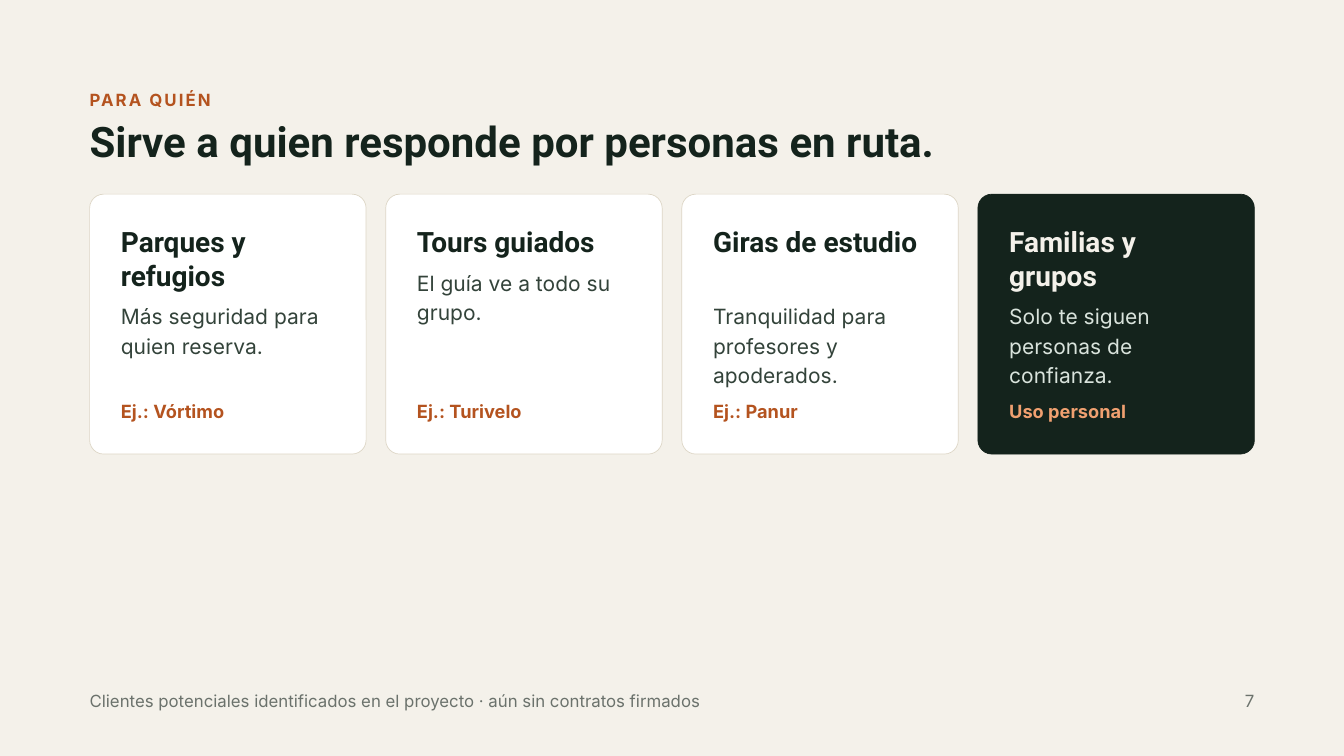
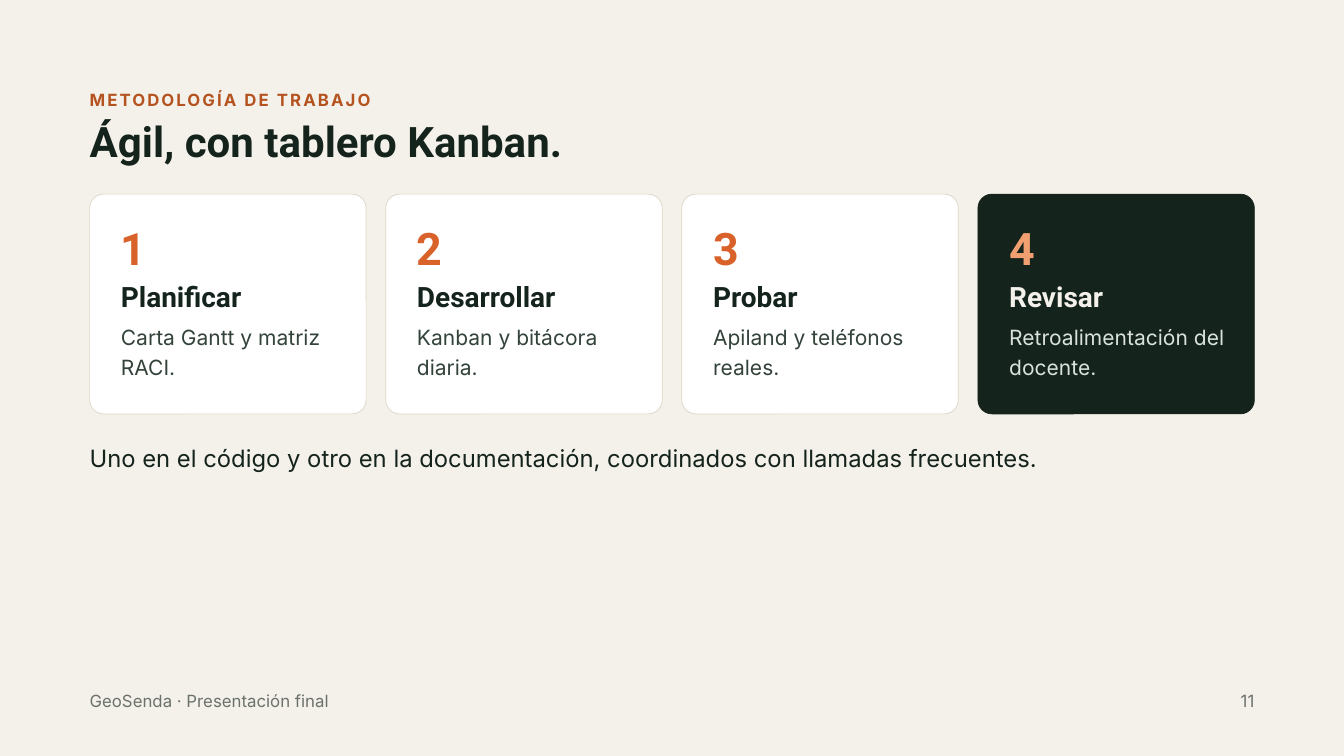
from dataclasses import dataclass

from pptx import Presentation
from pptx.dml.color import RGBColor
from pptx.enum.shapes import MSO_SHAPE
from pptx.enum.text import MSO_ANCHOR, MSO_AUTO_SIZE, PP_ALIGN
from pptx.util import Pt

ROUNDED = MSO_SHAPE.ROUNDED_RECTANGLE
TOP = MSO_ANCHOR.TOP
NO_AUTOFIT = MSO_AUTO_SIZE.NONE
LEFT, RIGHT = PP_ALIGN.LEFT, PP_ALIGN.RIGHT
TITLE_ONLY = 5

COLOURS = {
    "paper": "F4F1EA",
    "ink": "14231C",
    "body": "33433A",
    "muted": "6B726C",
    "rust": "B4531F",
    "orange": "D9622A",
    "peach": "F0A070",
    "mint": "D9E3DC",
    "white": "FFFFFF",
    "border": "DDD6C6",
}
LIGHT_CARD = {"fill": "white", "line": "border", "title": "ink",
              "body": "body", "tag": "rust", "number": "orange"}
DARK_CARD = {"fill": "ink", "line": "ink", "title": "paper",
             "body": "mint", "tag": "peach", "number": "peach"}

PAGE_WIDTH, PAGE_HEIGHT = 1440, 810
MARGIN = 96
CONTENT_WIDTH = PAGE_WIDTH - 2 * MARGIN
HEADING_WIDTH = 1285
COLUMNS = 4
CARD_GAP = 21
CARD_WIDTH = (CONTENT_WIDTH - (COLUMNS - 1) * CARD_GAP) / COLUMNS
CARD_TOP = 208
CARD_RADIUS = 15
CARD_PADDING = 33.5
TITLE_BODY_GAP = 8.5
FOOTER_TOP = 740


@dataclass
class TextStyle:
    font: str
    size: float
    leading: float
    bold: bool = False
    tracking: float = 0


EYEBROW = TextStyle("Inter", 18, 21.6, bold=True, tracking=2.2)
HEADING = TextStyle("Roboto", 45, 51.7, bold=True)
CARD_NUMBER = TextStyle("Roboto", 48, 55.2, bold=True)
CARD_TITLE = TextStyle("Roboto", 30, 36, bold=True)
CARD_BODY = TextStyle("Inter", 22.5, 31.5)
CARD_TAG = TextStyle("Inter", 19.5, 23.4, bold=True)
CAPTION = TextStyle("Inter", 25.5, 35.7)
FOOTER = TextStyle("Inter", 18, 21.6)

# Title, lines reserved for the title, body, tag
AUDIENCES = [
    ("Parques y refugios", 2, "Más seguridad para quien reserva.", "Ej.: Vórtimo"),
    ("Tours guiados", 1, "El guía ve a todo su grupo.", "Ej.: Turivelo"),
    ("Giras de estudio", 2, "Tranquilidad para profesores y apoderados.", "Ej.: Panur"),
    ("Familias y grupos", 2, "Solo te siguen personas de confianza.", "Uso personal"),
]
STEPS = [
    ("Planificar", "Carta Gantt y matriz RACI."),
    ("Desarrollar", "Kanban y bitácora diaria."),
    ("Probar", "Apiland y teléfonos reales."),
    ("Revisar", "Retroalimentación del docente."),
]


def colour(name):
    return RGBColor.from_string(COLOURS[name])


def place(shape, left, top, width, height):
    shape.left, shape.top = Pt(left), Pt(top)
    shape.width, shape.height = Pt(width), Pt(height)


def write(shape, text, style, colour_name, align=LEFT):
    frame = shape.text_frame
    frame.margin_left = frame.margin_right = 0
    frame.margin_top = frame.margin_bottom = 0
    frame.word_wrap = True
    frame.auto_size = NO_AUTOFIT
    frame.vertical_anchor = TOP
    para = frame.paragraphs[0]
    para.alignment = align
    para.line_spacing = Pt(style.leading)
    para.space_before = Pt(0)
    span = para.add_run()
    span.text = text
    if style.tracking:
        span.font._element.set("spc", str(round(style.tracking * 100)))
    para.font.name = style.font
    para.font.size = Pt(style.size)
    para.font.bold = style.bold
    para.font.color.rgb = colour(colour_name)


def add_text(slide, left, top, width, text, style, colour_name, lines=1, align=LEFT):
    box = slide.shapes.add_textbox(0, 0, 0, 0)
    place(box, left, top, width, lines * style.leading + 3)
    write(box, text, style, colour_name, align)


def add_page(deck, eyebrow, heading, footer, number):
    """Add a slide with the shared heading and footer."""
    slide = deck.slides.add_slide(deck.slide_layouts[TITLE_ONLY])
    title = slide.shapes.title
    place(title, MARGIN, 126.5, HEADING_WIDTH, 55)
    write(title, heading, HEADING, "ink")
    add_text(slide, MARGIN, 96, HEADING_WIDTH, eyebrow, EYEBROW, "rust")
    add_text(slide, MARGIN, FOOTER_TOP, 1081, footer, FOOTER, "muted")
    add_text(slide, PAGE_WIDTH - MARGIN - 30, FOOTER_TOP, 30, number, FOOTER,
             "muted", align=RIGHT)
    return slide


def add_card(slide, column, height, title_top, title, title_lines, body, body_lines):
    """Draw one card and return its text left, text width and palette."""
    palette = DARK_CARD if column == COLUMNS - 1 else LIGHT_CARD
    left = MARGIN + column * (CARD_WIDTH + CARD_GAP)
    card = slide.shapes.add_shape(ROUNDED, 0, 0, 0, 0)
    place(card, left, CARD_TOP, CARD_WIDTH, height)
    card.adjustments[0] = CARD_RADIUS / min(CARD_WIDTH, height)
    card.shadow.inherit = False
    card.fill.solid()
    card.fill.fore_color.rgb = colour(palette["fill"])
    card.line.color.rgb = colour(palette["line"])
    card.line.width = Pt(0.75)

    text_left = left + CARD_PADDING
    text_width = CARD_WIDTH - 2 * CARD_PADDING + 6
    body_top = title_top + title_lines * CARD_TITLE.leading + TITLE_BODY_GAP
    add_text(slide, text_left, title_top, text_width, title, CARD_TITLE,
             palette["title"], title_lines)
    add_text(slide, text_left, body_top, text_width, body, CARD_BODY,
             palette["body"], body_lines)
    return text_left, text_width, palette


def add_audience_slide(deck):
    slide = add_page(deck, "PARA QUIÉN", "Sirve a quien responde por personas en ruta.",
                     "Clientes potenciales identificados en el proyecto · "
                     "aún sin contratos firmados", "7")
    for column, (title, title_lines, body, tag) in enumerate(AUDIENCES):
        body_lines = 3 if column >= 2 else 2
        left, width, palette = add_card(slide, column, 278.5, 240.5, title,
                                        title_lines, body, body_lines)
        add_text(slide, left, 429, width, tag, CARD_TAG, palette["tag"])


def add_method_slide(deck):
    slide = add_page(deck, "METODOLOGÍA DE TRABAJO", "Ágil, con tablero Kanban.",
                     "GeoSenda · Presentación final", "11")
    for column, (title, body) in enumerate(STEPS):
        left, width, palette = add_card(slide, column, 235.5, 299, title, 1, body, 2)
        add_text(slide, left, 238.5, width, str(column + 1), CARD_NUMBER,
                 palette["number"])
    add_text(slide, MARGIN, 470, HEADING_WIDTH,
             "Uno en el código y otro en la documentación, "
             "coordinados con llamadas frecuentes.", CAPTION, "ink")


def main():
    deck = Presentation()
    deck.slide_width, deck.slide_height = Pt(PAGE_WIDTH), Pt(PAGE_HEIGHT)
    background = deck.slide_master.background.fill
    background.solid()
    background.fore_color.rgb = colour("paper")
    add_audience_slide(deck)
    add_method_slide(deck)
    deck.save("out.pptx")


if __name__ == "__main__":
    main()
